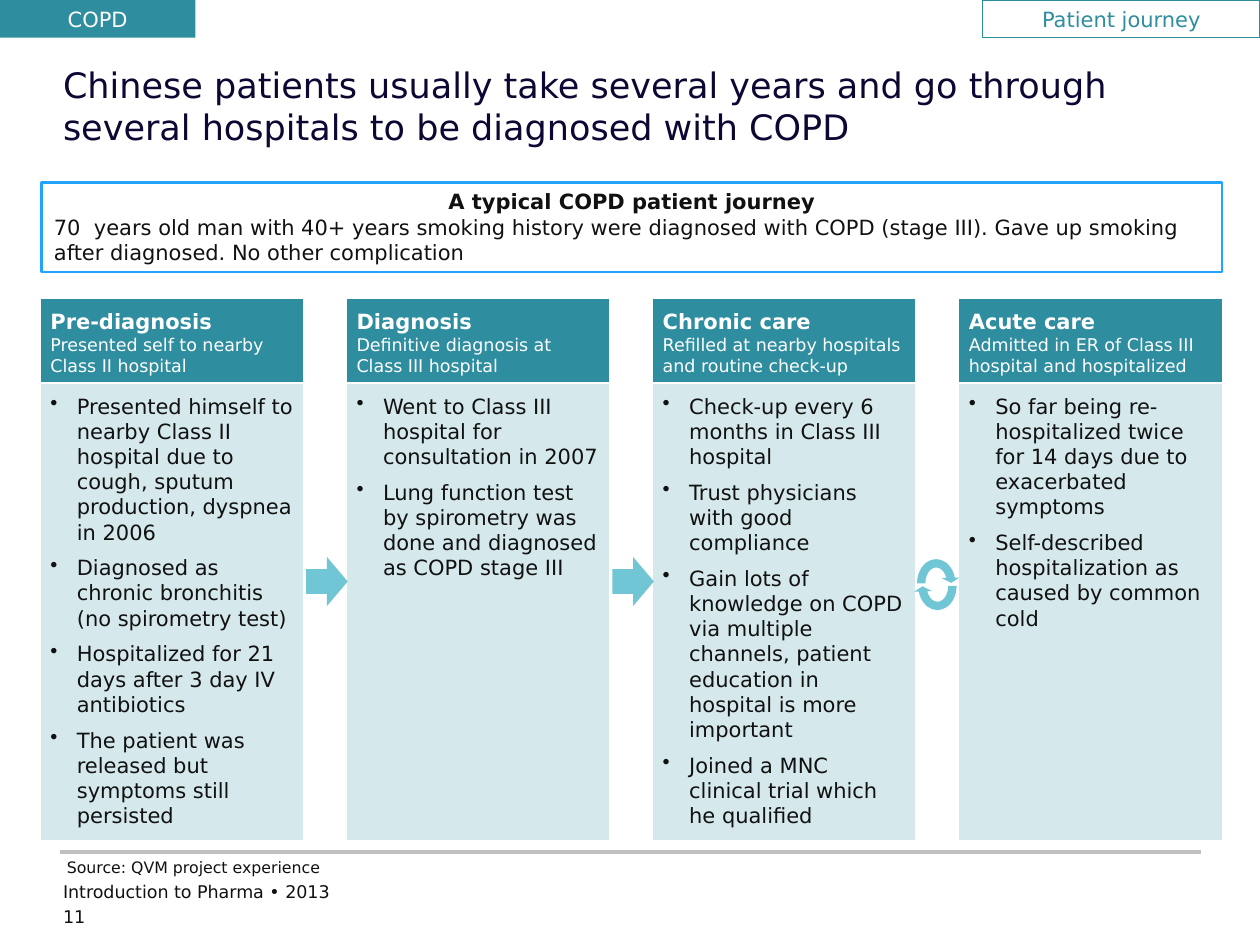
from lxml import etree
from pptx import Presentation
from pptx.dml.color import RGBColor
from pptx.enum.shapes import MSO_CONNECTOR, MSO_SHAPE
from pptx.enum.text import MSO_ANCHOR, MSO_AUTO_SIZE, PP_ALIGN
from pptx.oxml.ns import qn
from pptx.util import Inches, Pt

RECT = MSO_SHAPE.RECTANGLE
RIGHT_ARROW, CIRCULAR_ARROW = MSO_SHAPE.RIGHT_ARROW, MSO_SHAPE.CIRCULAR_ARROW
STRAIGHT = MSO_CONNECTOR.STRAIGHT
TOP, MIDDLE = MSO_ANCHOR.TOP, MSO_ANCHOR.MIDDLE
LEFT, CENTER = PP_ALIGN.LEFT, PP_ALIGN.CENTER
NO_FIT = MSO_AUTO_SIZE.NONE

FONT = "DejaVu Sans"
INK, NAVY, WHITE = "111111", "0E0733", "FFFFFF"
TEAL, AQUA, BLUE, GREY = "2E8D9E", "71C6D6", "20A4FF", "C0C0C0"
COLS, ROWS = 100, 75

STAGES = [
    ("Pre-diagnosis", "Presented self to nearby Class II hospital", [
        "Presented himself to nearby Class II hospital due to cough, sputum "
        "production, dyspnea in 2006",
        "Diagnosed as chronic bronchitis (no spirometry test)",
        "Hospitalized for 21 days after 3 day IV antibiotics",
        "The patient was released but symptoms still persisted"]),
    ("Diagnosis", "Definitive diagnosis at Class III hospital", [
        "Went to Class III hospital for consultation in 2007",
        "Lung function test by spirometry was done and diagnosed as COPD stage III"]),
    ("Chronic care", "Refilled at nearby hospitals and routine check-up", [
        "Check-up every 6 months in Class III hospital",
        "Trust physicians with good compliance",
        "Gain lots of knowledge on COPD via multiple channels, patient education "
        "in hospital is more important",
        "Joined a MNC clinical trial which he qualified"]),
    ("Acute care", "Admitted in ER of Class III hospital and hospitalized", [
        "So far being re-hospitalized twice for 14 days due to exacerbated symptoms",
        "Self-described hospitalization as caused by common cold"]),
]


def rgb(color):
    return RGBColor.from_string(color)


def write(tf, text, size=12, color=INK, bold=False, align=LEFT, bullet=False, before=0):
    """Fill the first paragraph of the frame if it is empty, else add one."""
    p = tf.paragraphs[0]
    if p.runs:
        p = tf.add_paragraph()
        p.space_before = Pt(before)
    p.alignment = align
    if bullet:
        pPr = p._p.get_or_add_pPr()
        pPr.set("marL", str(Inches(0.21)))
        pPr.set("indent", str(-Inches(0.21)))
        etree.SubElement(pPr, qn("a:buChar")).set("char", "•")
    r = p.add_run()
    r.text = text
    r.font.name, r.font.size, r.font.bold = FONT, Pt(size), bold
    r.font.color.rgb = rgb(color)


def set_frame(tf, insets=(0, 0, 0, 0), anchor=TOP, wrap=True):
    """Insets are left, top, right and bottom, in inches."""
    tf.auto_size, tf.word_wrap, tf.vertical_anchor = NO_FIT, wrap, anchor
    tf.margin_left, tf.margin_top, tf.margin_right, tf.margin_bottom = map(Inches, insets)
    return tf


class Deck:
    """Holds the presentation, its grid and the current slide."""

    def __init__(self):
        self.prs = Presentation()
        self.prs.slide_width, self.prs.slide_height = Inches(10), Inches(7.5)
        self.s = self.prs.slides.add_slide(self.prs.slide_layouts[5])

    def place(self, col, row, cols, rows):
        w, h = self.prs.slide_width / COLS, self.prs.slide_height / ROWS
        return [round(v) for v in (col * w, row * h, cols * w, rows * h)]

    def title(self, text, *cells):
        sp = self.s.shapes.title
        sp.left, sp.top, sp.width, sp.height = self.place(*cells)
        write(set_frame(sp.text_frame), text, size=20, color=NAVY)

    def label(self, text, *cells, size=10, wrap=True):
        sp = self.s.shapes.add_textbox(*self.place(*cells))
        write(set_frame(sp.text_frame, wrap=wrap), text, size=size)

    def shape(self, kind, *cells, fill=None, alpha=None, line=None, width=0.75, parent=None):
        sp = (parent or self.s).shapes.add_shape(kind, *self.place(*cells))
        sp.shadow.inherit = False
        if fill:
            sp.fill.solid()
            sp.fill.fore_color.rgb = rgb(fill)
        else:
            sp.fill.background()
        if alpha:
            clr = sp._element.spPr.find(qn("a:solidFill")).find(qn("a:srgbClr"))
            etree.SubElement(clr, qn("a:alpha")).set("val", str(alpha * 1000))
        if line:
            sp.line.color.rgb, sp.line.width = rgb(line), Pt(width)
        else:
            sp.line.fill.background()
        return sp

    def box(self, *cells, insets=(0.1, 0.05, 0.1, 0.05), anchor=TOP, **style):
        """Draw a rectangle and return its text frame."""
        return set_frame(self.shape(RECT, *cells, **style).text_frame, insets, anchor)

    def rule(self, col, row, cols):
        x, y, w, _ = self.place(col, row, cols, 0)
        line = self.s.shapes.add_connector(STRAIGHT, x, y, x + w, y)
        line.line.color.rgb, line.line.width = rgb(GREY), Pt(2)
        etree.SubElement(line._element.spPr, qn("a:effectLst"))

    def stage(self, col, width, name, summary, points):
        tf = self.box(col, 23.7, width, 6.7, insets=(0.08, 0.08, 0.08, 0.16),
                      fill=TEAL, line=WHITE)
        write(tf, name, color=WHITE, bold=True)
        write(tf, summary, size=10, color=WHITE)
        tf = self.box(col, 30.4, width, 36.3, insets=(0.08,) * 4,
                      fill=TEAL, alpha=20, line=WHITE)
        for point in points:
            write(tf, point, bullet=True, before=6)

    def cycle(self, col, row):
        """Two circular arrows that chase each other."""
        pair = self.s.shapes.add_group_shape()
        for shift, turn in ((0, 0), (0.1, 180)):
            sp = self.shape(CIRCULAR_ARROW, col + shift, row + 2 * shift, 3.8, 4.6,
                            fill=AQUA, parent=pair)
            for i, value in enumerate((0.175, 11.423, 203.562, 108, 0.187)):
                sp.adjustments[i] = value
            sp.rotation = turn


def main():
    deck = Deck()
    deck.rule(4.8, 67.6, 90.5)
    deck.title("Chinese patients usually take several years and go through several "
               "hospitals to be diagnosed with COPD", 5, 5, 90, 10)

    tf = deck.box(3.3, 14.5, 93.7, 7.1, line=BLUE, width=1.5)
    write(tf, "A typical COPD patient journey", bold=True, align=CENTER)
    write(tf, "70  years old man with 40+ years smoking history were diagnosed with COPD "
              "(stage III). Gave up smoking after diagnosed. No other complication")

    first, pitch, width = 3.2, 24.3, 20.9
    for i, stage in enumerate(STAGES):
        deck.stage(first + i * pitch, width, *stage)
    for i in range(2):
        deck.shape(RIGHT_ARROW, first + i * pitch + width + 0.2, 44.2, 3.3, 3.9, fill=AQUA)
    deck.cycle(72.4, 44)

    write(deck.box(0, 0, 15.5, 3, anchor=MIDDLE, fill=TEAL), "COPD",
          color=WHITE, align=CENTER)
    write(deck.box(78, 0, 22, 3, anchor=MIDDLE, line=TEAL), "Patient journey",
          color=TEAL, align=CENTER)

    deck.label("Source: QVM project experience", 5.3, 68.1, 20.1, 1.5, size=9, wrap=False)
    deck.label("Introduction to Pharma • 2013", 5, 69.9, 66.8, 2.3)
    deck.label("11", 5, 71.9, 4.8, 2)
    deck.prs.save("out.pptx")


if __name__ == "__main__":
    main()
